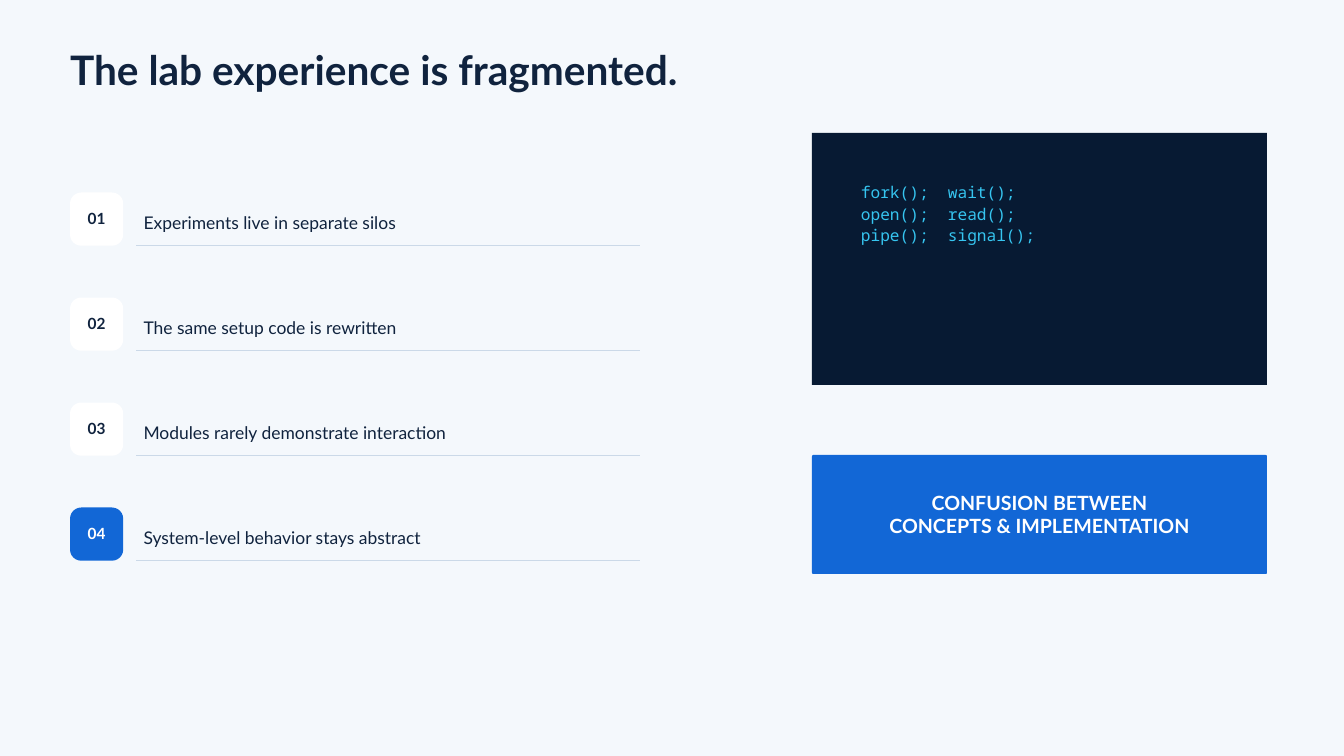
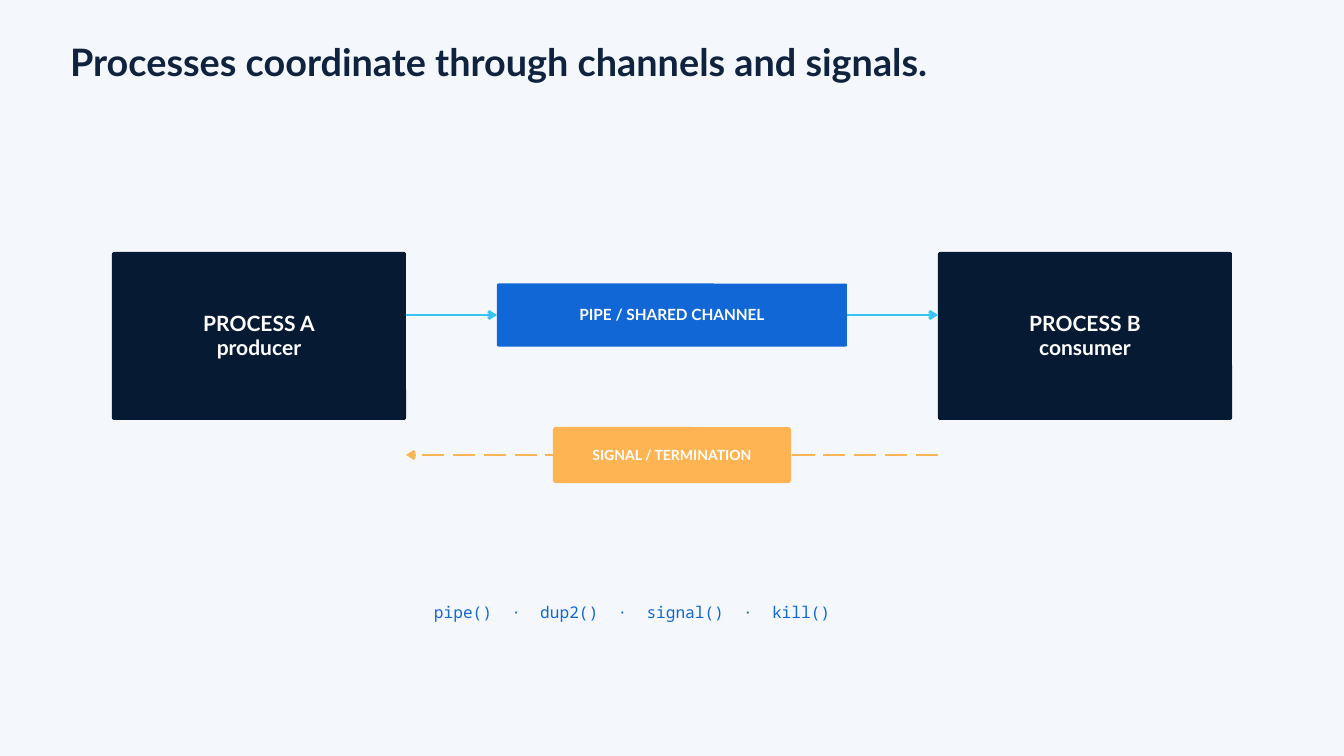
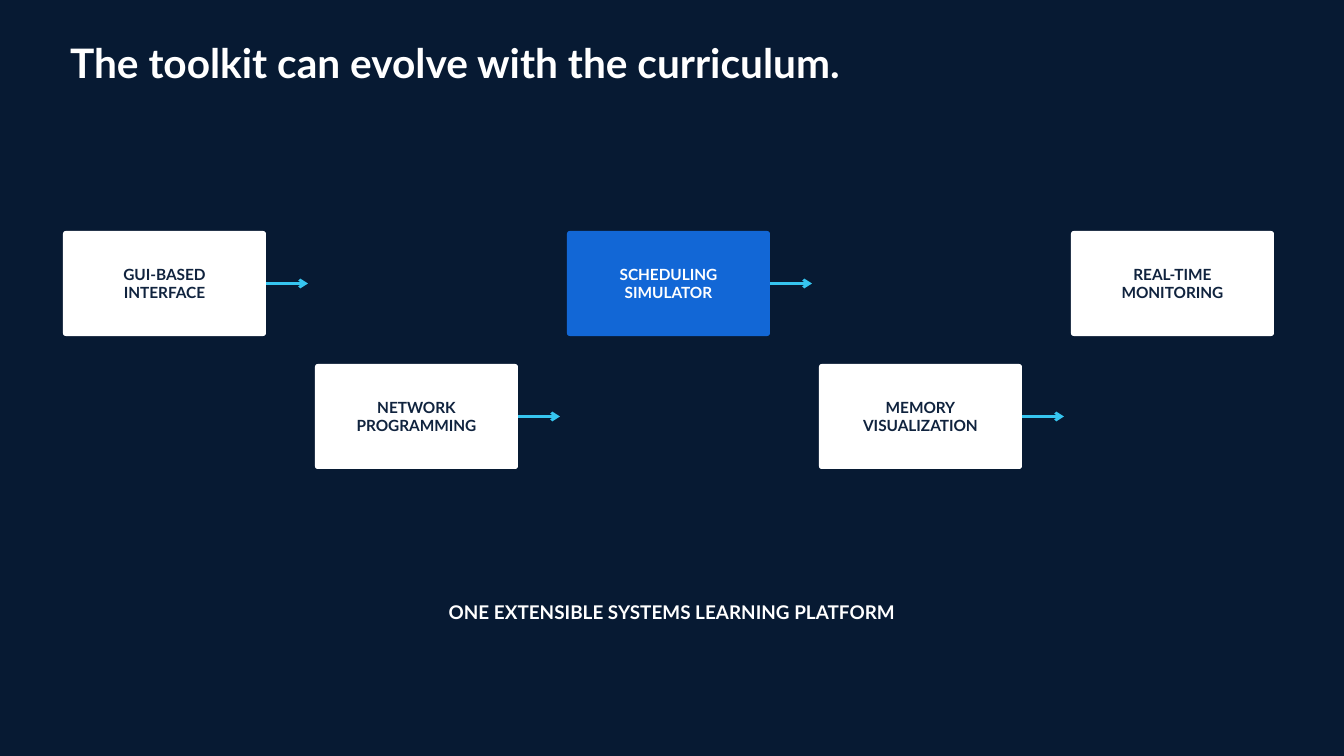
"""Builds three slides on a lab toolkit, laid out on a grid of 192 by 108 cells."""
from lxml.etree import SubElement
from pptx import Presentation
from pptx.dml.color import RGBColor
from pptx.enum.dml import MSO_LINE as Dash
from pptx.enum.shapes import MSO_CONNECTOR as Wire, MSO_SHAPE as Form
from pptx.enum.text import MSO_ANCHOR as Anchor, MSO_AUTO_SIZE as Fit, PP_ALIGN as Align
from pptx.oxml.ns import qn
from pptx.util import Inches, Pt

hue = RGBColor.from_string
INK, NAVY, BLUE, CYAN = "10233E", "071A33", "1267D6", "36C5F0"
AMBER, WHITE, PALE, RULE = "FFB454", "FFFFFF", "F4F8FC", "CBD9E8"
SANS, MONO = "Lato", "Noto Sans Mono"
CODE = 17.25
CHAR = CODE * 0.6

deck = Presentation()
deck.slide_width, deck.slide_height = Inches(20), Inches(11.25)
CELL = deck.slide_width // 192


def write(slide, text, x, y, w, h, size=16.5, color=WHITE, font=SANS, bold=True,
          lead=1.15, fill=None, curve=0, head=False, tabs=()):
    """Place text as a title, a plain text box, or a filled box with rounded corners."""
    spot = [round(n * CELL) for n in (x, y, w, h)]
    if head:
        shape = slide.shapes.title
        shape.left, shape.top, shape.width, shape.height = spot
    elif fill:
        shape = slide.shapes.add_shape(Form.ROUNDED_RECTANGLE if curve else Form.RECTANGLE, *spot)
        if curve:
            shape.adjustments[0] = curve / min(w, h)
        shape.shadow.inherit = False
        shape.fill.solid()
        shape.fill.fore_color.rgb = hue(fill)
        shape.line.fill.background()
    else:
        shape = slide.shapes.add_textbox(*spot)
    frame = shape.text_frame
    frame.word_wrap, frame.auto_size = True, Fit.NONE
    frame.vertical_anchor = Anchor.MIDDLE if fill else Anchor.TOP
    pad = Inches(0.06 if fill else 0)
    frame.margin_left = frame.margin_right = frame.margin_top = frame.margin_bottom = pad
    frame.text = text
    for para in frame.paragraphs:
        if tabs:
            stops = SubElement(para._p.get_or_add_pPr(), qn("a:tabLst"))
            for stop in tabs:
                SubElement(stops, qn("a:tab"), pos=str(Pt(stop * CHAR)), algn="l")
        para.alignment = Align.CENTER if fill else Align.LEFT
        para.line_spacing = Pt(round(size * lead, 1))
        for run in para.runs:
            run.font.size, run.font.bold, run.font.name = Pt(size), bold, font
            run.font.color.rgb = hue(color)


def link(slide, x, y, end, color=CYAN, width=3, dash=None, arrow=True):
    """Draw a level line from x to end, with an arrowhead if wanted."""
    wire = slide.shapes.add_connector(
        Wire.STRAIGHT, *[round(n * CELL) for n in (x, y, end, y)])
    wire.line.color.rgb = hue(color)
    wire.line.width = Pt(width)
    if dash:
        wire.line.dash_style = dash
    if arrow:
        SubElement(wire.line._ln, qn("a:tailEnd"), type="arrow")
    SubElement(wire._element.spPr, qn("a:effectLst"))


titles = [
    ("The lab experience is fragmented.", 7.1, 110, 43.5, INK, PALE),
    ("Processes coordinate through channels and signals.", 6.2, 145, 40.5, INK, PALE),
    ("The toolkit can evolve with the curriculum.", 6.1, 140, 43.5, WHITE, NAVY),
]
for text, y, w, size, color, back in titles:
    slide = deck.slides.add_slide(deck.slide_layouts[5])
    slide.background.fill.solid()
    slide.background.fill.fore_color.rgb = hue(back)
    write(slide, text, 10, y, w, 7.3, size=size, color=color, lead=1.08, head=True)
labs, flow, plan = deck.slides

write(labs, "", 116, 19, 65, 36, fill=NAVY)
write(labs, "fork();\twait();\nopen();\tread();\npipe();\tsignal();", 123, 25.7, 52, 9.2,
      size=CODE, color=CYAN, font=MONO, bold=False, lead=1.35, tabs=[9])
issues = [
    "Experiments live in separate silos",
    "The same setup code is rewritten",
    "Modules rarely demonstrate interaction",
    "System-level behavior stays abstract",
]
for i, issue in enumerate(issues):
    y = 27.5 + 15 * i
    last = i == len(issues) - 1
    write(labs, f"{i + 1:02}", 10, y, 7.6, 7.6, color=WHITE if last else INK,
          fill=BLUE if last else WHITE, curve=1.6)
    write(labs, issue, 20.5, y + 2.4, 73, 3.1, size=18.75, color=INK, bold=False, lead=1.35)
    link(labs, 19.5, y + 7.6, 91.5, color=RULE, width=1, arrow=False)
write(labs, "CONFUSION BETWEEN\nCONCEPTS & IMPLEMENTATION", 116, 65, 65, 17,
      size=21, fill=BLUE, curve=0.2)

write(flow, "pipe()\t·\tdup2()\t·\tsignal()\t·\tkill()", 62, 85.7, 90, 3.1, size=CODE,
      color=BLUE, font=MONO, bold=False, lead=1.35, tabs=[8, 11, 19, 22, 32, 35])
for x, text in (16, "PROCESS A\nproducer"), (134, "PROCESS B\nconsumer"):
    write(flow, text, x, 36, 42, 24, size=22.5, fill=NAVY, curve=0.3)
write(flow, "PIPE / SHARED CHANNEL", 71, 40.5, 50, 9, fill=BLUE, curve=0.2)
link(flow, 58, 45, 71)
link(flow, 121, 45, 134)
link(flow, 134, 65, 58, color=AMBER, dash=Dash.LONG_DASH)
write(flow, "SIGNAL / TERMINATION", 79, 61, 34, 8, size=15, fill=AMBER, curve=0.4)

steps = ["GUI-BASED\nINTERFACE", "NETWORK\nPROGRAMMING", "SCHEDULING\nSIMULATOR",
         "MEMORY\nVISUALIZATION", "REAL-TIME\nMONITORING"]
for i, step in enumerate(steps):
    x, y = 9 + 36 * i, 33 + 19 * (i % 2)
    core = i == 2
    write(plan, step, x, y, 29, 15, color=WHITE if core else INK,
          fill=BLUE if core else WHITE, curve=0.4)
    if i < len(steps) - 1:
        link(plan, x + 29, y + 7.5, x + 35)
write(plan, "ONE EXTENSIBLE SYSTEMS LEARNING PLATFORM", 49, 82, 94, 11,
      size=20.25, fill=NAVY, curve=0.1)

deck.save("out.pptx")
